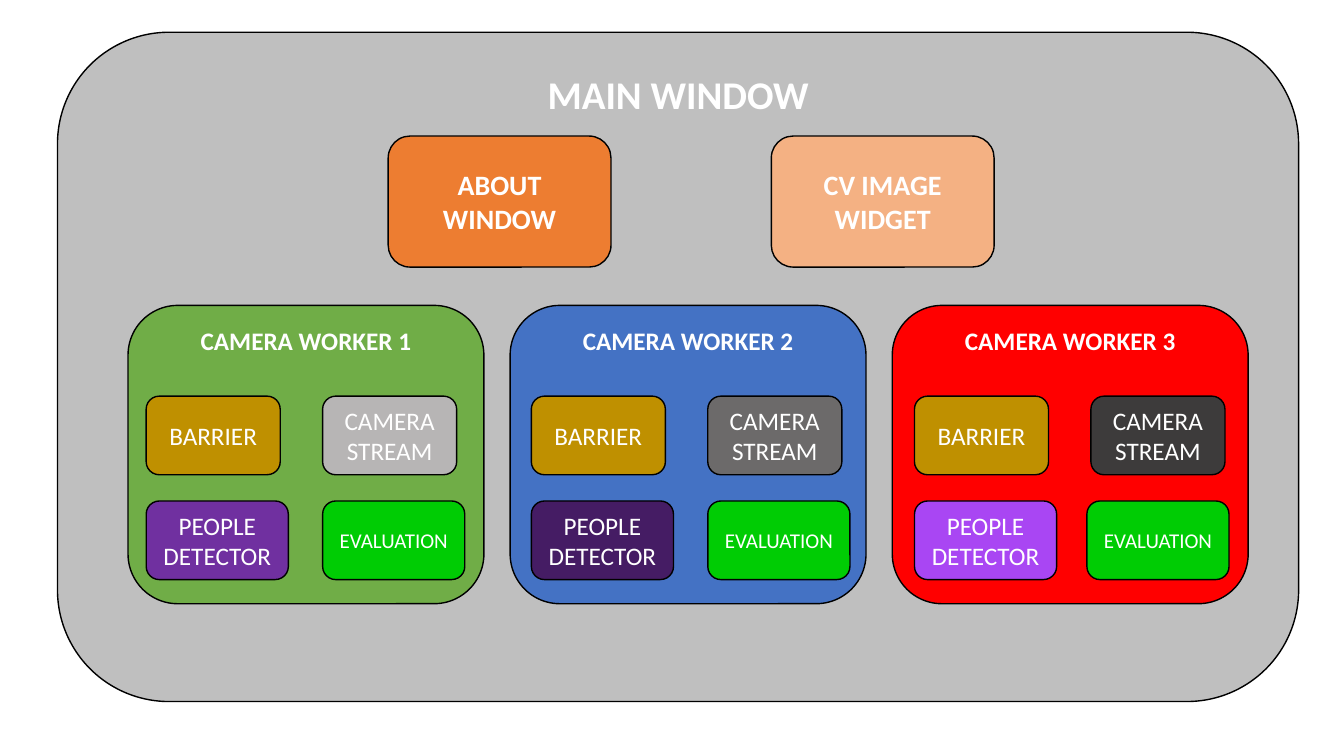
import pptx
import pptx.dml.color
import pptx.enum.shapes
import pptx.enum.text
import pptx.util

Inches = pptx.util.Inches
RGBColor = pptx.dml.color.RGBColor
Anchor = pptx.enum.text.MSO_ANCHOR

WHITE = RGBColor(0xFF, 0xFF, 0xFF)
BLACK = RGBColor(0x00, 0x00, 0x00)
SILVER = RGBColor(0xBF, 0xBF, 0xBF)
ORANGE = RGBColor(0xED, 0x7D, 0x31)
PEACH = RGBColor(0xF4, 0xB1, 0x83)
GREEN = RGBColor(0x70, 0xAD, 0x47)
BLUE = RGBColor(0x44, 0x72, 0xC4)
RED = RGBColor(0xFF, 0x00, 0x00)
GOLD = RGBColor(0xBF, 0x90, 0x00)
BRIGHT_GREEN = RGBColor(0x00, 0xCC, 0x04)
PURPLE = RGBColor(0x70, 0x30, 0xA0)
DARK_PURPLE = RGBColor(0x45, 0x1C, 0x64)
LIGHT_PURPLE = RGBColor(0xA9, 0x46, 0xF3)
LIGHT_GRAY = RGBColor(0xB7, 0xB5, 0xB5)
MIDDLE_GRAY = RGBColor(0x6C, 0x6A, 0x6A)
DARK_GRAY = RGBColor(0x3D, 0x3B, 0x3B)


def write_text(shape, text, size=18, bold=False, anchor=Anchor.MIDDLE):
    frame = shape.text_frame
    frame.text = text
    frame.word_wrap = True
    frame.vertical_anchor = anchor
    for paragraph in frame.paragraphs:
        paragraph.alignment = pptx.enum.text.PP_ALIGN.CENTER
        paragraph.font.name = "Calibri"
        paragraph.font.size = pptx.util.Pt(size)
        paragraph.font.bold = bold
        paragraph.font.color.rgb = WHITE


def add_box(left, top, width, height, fill):
    box = slide.shapes.add_shape(
        pptx.enum.shapes.MSO_SHAPE.ROUNDED_RECTANGLE,
        Inches(left), Inches(top), Inches(width), Inches(height))
    box.shadow.inherit = False
    box.fill.solid()
    box.fill.fore_color.rgb = fill
    box.line.color.rgb = BLACK
    box.line.width = pptx.util.Pt(1)
    return box


presentation = pptx.Presentation()
presentation.slide_width = Inches(13.33)
presentation.slide_height = Inches(7.5)
slide = presentation.slides.add_slide(presentation.slide_layouts[5])

# Main window, with the title in front of it
main_window = add_box(0.57, 0.32, 12.31, 6.64, SILVER)
title = slide.shapes.title
title.left, title.top = Inches(0.57), Inches(0.65)
title.width, title.height = Inches(12.31), Inches(0.57)
write_text(title, "MAIN WINDOW", size=28, bold=True)
main_window._element.addnext(title._element)

# Windows opened from the main window
for left, text, fill in [(3.85, "ABOUT\nWINDOW", ORANGE),
                         (7.65, "CV IMAGE WIDGET", PEACH)]:
    write_text(add_box(left, 1.35, 2.21, 1.3, fill), text, size=20, bold=True)

# Camera workers: fill, left of parts, left of evaluation, detector and stream fills
workers = [
    (GREEN, 1.45, 3.2, PURPLE, LIGHT_GRAY),
    (BLUE, 5.27, 7.02, DARK_PURPLE, MIDDLE_GRAY),
    (RED, 9.07, 10.78, LIGHT_PURPLE, DARK_GRAY),
]
for index, (fill, left, evaluation_left, detector_fill, stream_fill) in enumerate(workers):
    worker = add_box(1.27 + 3.79 * index, 3.03, 3.53, 2.96, fill)
    write_text(worker, f"CAMERA WORKER {index + 1}", bold=True, anchor=Anchor.TOP)

    # Parts of the worker in two rows
    parts = [
        ("BARRIER", left, 3.93, 1.33, GOLD, 18),
        ("CAMERA STREAM", left + 1.75, 3.93, 1.33, stream_fill, 18),
        ("PEOPLE DETECTOR", left, 4.97, 1.41, detector_fill, 18),
        ("EVALUATION", evaluation_left, 4.97, 1.41, BRIGHT_GREEN, 15),
    ]
    for text, part_left, top, width, part_fill, size in parts:
        write_text(add_box(part_left, top, width, 0.78, part_fill), text, size=size)

presentation.save("out.pptx")
